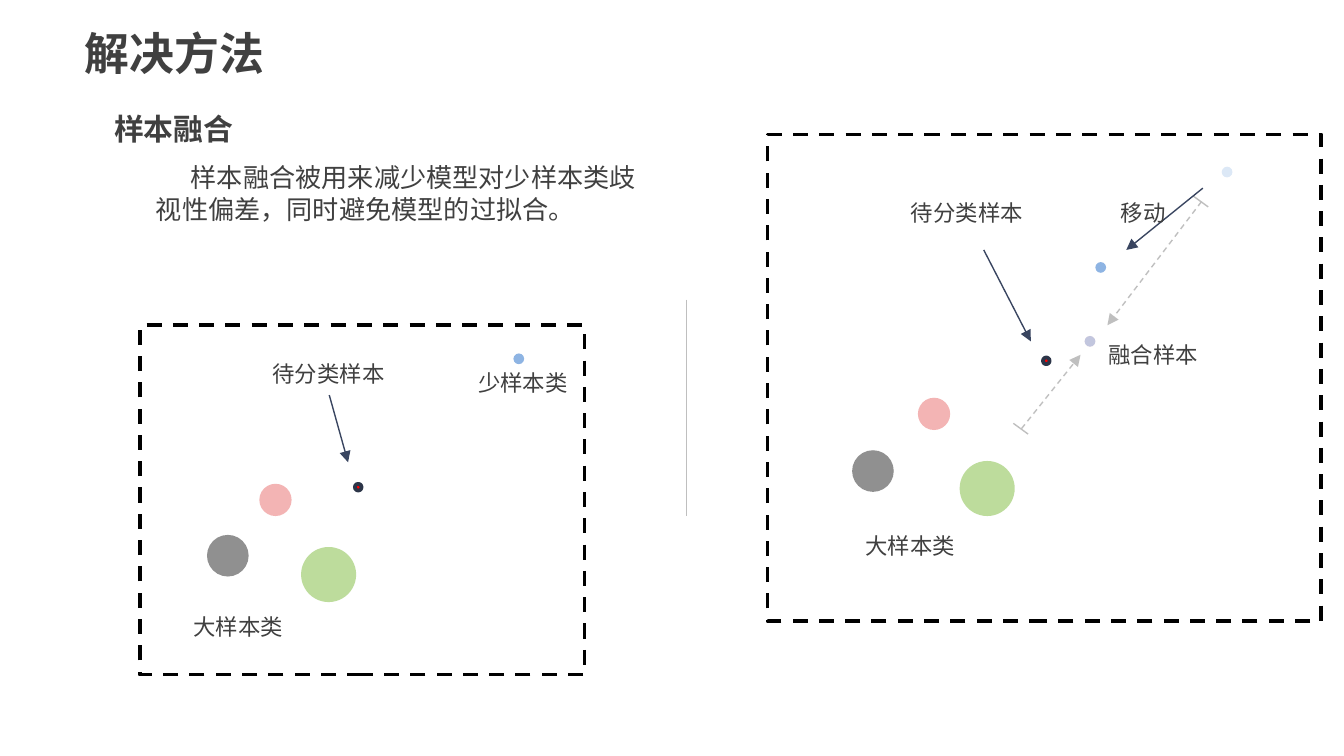
import pptx
import pptx.dml.color
import pptx.enum.dml
import pptx.enum.shapes
import pptx.enum.text
import pptx.oxml
import pptx.oxml.ns
import pptx.util
from pptx.util import Inches

FONT = "Noto Sans CJK SC"
COLORS = {
    "background": "FFFFFF", "text": "404040", "frame": "000000",
    "pink": "F3B4B4", "green": "BDDC9C", "gray": "909090", "blue": "8EB4E3",
    "query": "FF0000", "query_ring": "2C3548", "arrow": "394560", "guide": "BFBFBF",
}
SMALL = 0.08


def rgb(name):
    return pptx.dml.color.RGBColor.from_string(COLORS[name])


def add_xml(parent, tag, **attributes):
    child = pptx.oxml.parse_xml(f"<{tag} {pptx.oxml.ns.nsdecls('a')}/>")
    for key, value in attributes.items():
        child.set(key, str(value))
    parent.append(child)


def place(shape, left, top, width, height):
    shape.left, shape.top = Inches(left), Inches(top)
    shape.width, shape.height = Inches(width), Inches(height)


def write(shape, text, size=12, bold=False, indent=0, spacing=None):
    frame = shape.text_frame
    frame.text = text
    frame.word_wrap = True
    frame.auto_size = pptx.enum.text.MSO_AUTO_SIZE.NONE
    frame.vertical_anchor = pptx.enum.text.MSO_ANCHOR.MIDDLE
    frame.margin_left = frame.margin_right = Inches(0.1)
    frame.margin_top = frame.margin_bottom = 0
    paragraph = frame.paragraphs[0]
    paragraph.alignment = pptx.enum.text.PP_ALIGN.LEFT
    paragraph.space_before = pptx.util.Pt(0)
    if spacing:
        paragraph.line_spacing = pptx.util.Pt(spacing)
    properties = paragraph._p.get_or_add_pPr()
    properties.set("marL", "0")
    properties.set("indent", str(Inches(indent)))
    add_xml(properties, "a:buNone")
    run = paragraph.runs[0]
    run.font.size = pptx.util.Pt(size)
    run.font.bold = bold
    run.font.name = FONT
    run.font.color.rgb = rgb("text")
    add_xml(run._r.get_or_add_rPr(), "a:ea", typeface=FONT)


def add_label(slide, text, left, top, width=1.1, height=0.3, **text_format):
    label = slide.shapes.add_textbox(0, 0, 0, 0)
    place(label, left, top, width, height)
    write(label, text, **text_format)


def add_dot(slide, left, top, size, color, ring=None, opacity=100):
    dot = slide.shapes.add_shape(
        pptx.enum.shapes.MSO_SHAPE.OVAL,
        Inches(left), Inches(top), Inches(size), Inches(size))
    dot.shadow.inherit = False
    dot.fill.solid()
    dot.fill.fore_color.rgb = rgb(color)
    if opacity < 100:
        fill_color = dot._element.spPr.find(".//" + pptx.oxml.ns.qn("a:srgbClr"))
        add_xml(fill_color, "a:alpha", val=opacity * 1000)
    if ring:
        dot.line.color.rgb = rgb(ring)
        dot.line.width = pptx.util.Pt(2)
    else:
        dot.line.fill.background()


def add_line(slide, x1, y1, x2, y2, color, arrow=False, dashed=False):
    line = slide.shapes.add_connector(
        pptx.enum.shapes.MSO_CONNECTOR.STRAIGHT,
        Inches(x1), Inches(y1), Inches(x2), Inches(y2))
    line.line.color.rgb = rgb(color)
    line.line.width = pptx.util.Pt(0.75)
    if dashed:
        line.line.dash_style = pptx.enum.dml.MSO_LINE.DASH
    if arrow:
        add_xml(line.line._get_or_add_ln(), "a:tailEnd", type="triangle")
    add_xml(line._element.spPr, "a:effectLst")


def add_frame(slide, left, top, width, height):
    frame = slide.shapes.add_shape(
        pptx.enum.shapes.MSO_SHAPE.RECTANGLE,
        Inches(left), Inches(top), Inches(width), Inches(height))
    frame.shadow.inherit = False
    frame.fill.background()
    frame.line.color.rgb = rgb("frame")
    frame.line.width = pptx.util.Pt(2)
    frame.line.dash_style = pptx.enum.dml.MSO_LINE.DASH


def add_large_classes(slide, left, top, gray_left, gray_top):
    """Three large classes; left and top belong to the pink one."""
    add_dot(slide, left, top, 0.24, "pink")
    add_dot(slide, left + 0.31, top + 0.47, 0.41, "green")
    add_dot(slide, gray_left, gray_top, 0.31, "gray")


def add_query(slide, left, top):
    add_dot(slide, left, top, 0.05, "query", ring="query_ring")


def build_heading(slide, left, top):
    title, body = slide.placeholders
    place(title, left, top, 3.06, 0.5)
    write(title, "解决方法", size=24, bold=True)
    add_label(slide, "样本融合", left + 0.22, top + 0.63, 1.95, 0.37,
              size=16, bold=True)
    place(body, left + 0.53, top + 1.01, 3.86, 0.57)
    write(body, "样本融合被用来减少模型对少样本类歧视性偏差，同时避免模型的过拟合。",
          size=14, indent=0.26, spacing=17)


def build_before_panel(slide, left, top, width, height):
    add_frame(slide, left, top, width, height)
    add_large_classes(slide, left + 0.89, top + 1.18, left + 0.5, top + 1.56)
    add_dot(slide, left + 2.78, top + 0.21, SMALL, "blue")
    add_query(slide, left + 1.6, top + 1.18)
    add_line(slide, left + 1.41, top + 0.52, left + 1.55, top + 1.02,
             "arrow", arrow=True)
    for text, x, y, label_width in (
            ("待分类样本", 0.89, 0.21, 1.1), ("大样本类", 0.3, 2.09, 1.06),
            ("少样本类", 2.42, 0.28, 1.06)):
        add_label(slide, text, left + x, top + y, label_width)


def build_after_panel(slide, left, top, width, height):
    add_frame(slide, left, top, width, height)
    add_large_classes(slide, left + 1.12, top + 1.96, left + 0.63, top + 2.35)
    add_query(slide, left + 2.05, top + 1.66)

    # Minority sample before and after the move, then the fused sample
    add_dot(slide, left + 3.38, top + 0.24, SMALL, "blue", opacity=30)
    add_dot(slide, left + 2.44, top + 0.95, SMALL, "blue")
    for color in ("pink", "blue"):
        add_dot(slide, left + 2.36, top + 1.5, SMALL, color, opacity=50)

    # Dashed distance arrows, each with a bar across its start
    for x1, y1, x2, y2 in ((1.89, 2.19, 2.33, 1.64), (3.23, 0.5, 2.53, 1.42)):
        x, y = left + x1, top + y1
        add_line(slide, x, y, left + x2, top + y2, "guide", arrow=True, dashed=True)
        add_line(slide, x - 0.06, y - 0.04, x + 0.05, y + 0.04, "guide")

    # Pointer to the query sample, and the move
    for x1, y1, x2, y2 in ((1.61, 0.86, 1.96, 1.54), (3.24, 0.4, 2.67, 0.86)):
        add_line(slide, left + x1, top + y1, left + x2, top + y2,
                 "arrow", arrow=True)

    for text, x, y, label_width in (
            ("待分类样本", 0.97, 0.43, 1.1), ("大样本类", 0.63, 2.91, 1.06),
            ("移动", 2.53, 0.43, 0.55), ("融合样本", 2.44, 1.49, 1.1)):
        add_label(slide, text, left + x, top + y, label_width)


def main():
    deck = pptx.Presentation()
    deck.slide_width = Inches(10)
    deck.slide_height = deck.slide_width * 9 // 16
    slide = deck.slides.add_slide(deck.slide_layouts[1])
    slide.background.fill.solid()
    slide.background.fill.fore_color.rgb = rgb("background")

    build_heading(slide, 0.53, 0.14)
    build_before_panel(slide, 1.04, 2.42, 3.31, 2.6)
    add_line(slide, 5.11, 2.23, 5.11, 3.84, "guide")  # divider
    build_after_panel(slide, 5.71, 1, 4.12, 3.62)
    deck.save("out.pptx")


if __name__ == "__main__":
    main()
